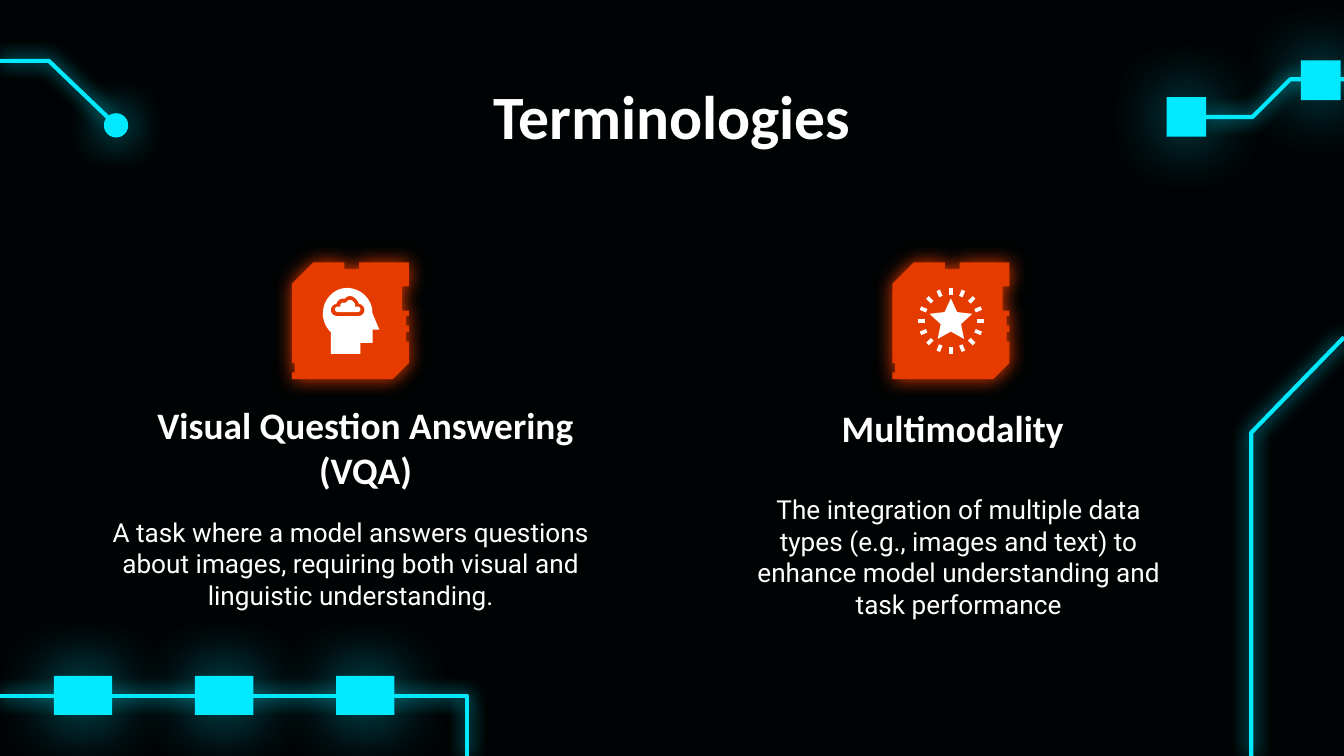
"""Build the glowing circuit-board "Terminologies" slide on a grid of 1000 by 562.5 cells."""
import math
from dataclasses import dataclass

from lxml import etree
from pptx import Presentation, util as u
from pptx.dml import color
from pptx.enum import shapes, text
from pptx.oxml import ns


@dataclass(frozen=True)
class Theme:
    background: str = "000304"
    neon: str = "00E9FF"
    badge: str = "E63B00"
    ink: str = "FFFFFF"
    heading_font: str = "Calibri"
    body_font: str = "Roboto"
    title_size: int = 33
    heading_size: int = 20
    body_size: int = 14
    trace_width: float = 2.25


THEME = Theme()
CELL = u.Inches(0.01)
COLUMNS, ROWS = 1000, 562.5

TITLE = ("Terminologies", (78, 59.3, 844, 52))
TERMS = [
    {"heading": ("Visual Question Answering (VQA)", (78, 299.3, 388, 42)),
     "body": ("A task where a model answers questions about images, requiring "
              "both visual and linguistic understanding.", (67, 384.3, 388, 86)),
     "badge": (217.2, 195.2)},
    {"heading": ("Multimodality", (582.4, 301.4, 253, 42)),
     "body": ("The integration of multiple data types (e.g., images and text) to "
              "enhance model understanding and task performance", (548.4, 367.4, 330, 86)),
     "badge": (664, 195.2)},
]

TRACES = [
    [(COLUMNS, 251), (931, 322), (931, ROWS)],
    [(897, 87), (932, 87), (960, 59), (COLUMNS, 59)],
    [(0, 518), (347.5, 518), (347.5, ROWS)],
    [(0, 45.3), (36.4, 45.3), (81.4, 88.4)],
]
CORNER_CHIPS = [(868, 72.3, 29.5, 29.5), (968, 45, 29.5, 29.5)]
BOTTOM_CHIPS = [(40 + 105 * place, 503, 43.5, 29) for place in range(3)]
NODE = (78.4, 85.3, 16, 16)

BADGE = [(16, 0), (0, 16), (0, 75), (2, 75), (2, 82), (0, 82), (0, 87), (75, 87),
         (87, 75), (87, 59), (85, 59), (85, 52), (87, 52), (87, 47), (85, 47),
         (85, 40), (87, 40), (87, 36), (82, 36), (82, 18), (87, 18), (87, 0),
         (50, 0), (50, 5), (39, 5), (39, 0)]
HEAD = [(41, 19), (31, 19, 23, 28, 23, 38), (23, 43, 25, 48, 29, 52), (29, 68),
        (51, 68), (51, 60), (60, 60), (60, 50), (65, 50), (60, 38),
        (60, 27, 51, 19, 41, 19)]
CLOUD_EDGE = [(43, 25), (46, 25, 49, 28, 50, 31), (52, 31, 54, 33, 54, 35.5),
              (54, 38, 52, 40, 49, 40), (34, 40), (31, 40, 29, 38, 29, 35.5),
              (29, 33, 31, 31, 33, 31), (34, 28, 36, 27, 38, 27), (39.5, 27),
              (40, 26, 42, 25, 43, 25)]
CLOUD = [(43, 28), (42, 28, 41, 29, 41, 29), (40, 30), (38, 30),
         (37, 30, 36, 31, 36, 32), (36, 33), (34, 33), (33, 33, 32, 34, 32, 35),
         (32, 36, 33, 37, 34, 37), (49, 37), (50, 37, 51, 36, 51, 35),
         (51, 34, 50, 33, 49, 33), (47, 33), (47, 32), (47, 30, 45, 28, 43, 28)]
ICON_CENTRE = (43.5, 43.5)


def cells(*values):
    return [round(value * CELL) for value in values]


def rgb(value):
    return color.RGBColor.from_string(value)


def flatten(outline, steps=8):
    """Replace each six-number Bezier segment with short straight ones."""
    points = [outline[0]]
    for segment in outline[1:]:
        if len(segment) == 2:
            points.append(segment)
            continue
        start, *rest = points[-1], segment[:2], segment[2:4], segment[4:]
        for step in range(1, steps + 1):
            t = step / steps
            weights = ((1 - t) ** 3, 3 * t * (1 - t) ** 2, 3 * t * t * (1 - t), t ** 3)
            points.append(tuple(sum(w * p[axis] for w, p in zip(weights, (start, *rest)))
                                for axis in (0, 1)))
    return points


def polar(radius, angle, shift=0):
    """Return a point around the icon centre, the angle measured from twelve o'clock."""
    x, y = ICON_CENTRE
    return (x + radius * math.sin(angle) + shift * math.cos(angle),
            y - radius * math.cos(angle) + shift * math.sin(angle))


def glow(shape, tint, blur, opacity=100):
    effects = shape._element.spPr.find(ns.qn("a:effectLst"))
    shadow = etree.SubElement(effects, ns.qn("a:outerShdw"), blurRad=str(u.Pt(blur)),
                              dist="0", dir="0", algn="bl", rotWithShape="0")
    tone = etree.SubElement(shadow, ns.qn("a:srgbClr"), val=tint)
    etree.SubElement(tone, ns.qn("a:alpha"), val=str(opacity * 1000))


def paint(shape, fill=None, line=None, width=THEME.trace_width):
    shape.shadow.inherit = False
    if fill:
        shape.fill.solid()
        shape.fill.fore_color.rgb = rgb(fill)
    else:
        shape.fill.background()
    if line:
        shape.line.color.rgb = rgb(line)
        shape.line.width = u.Pt(width)
    else:
        shape.line.fill.background()
    return shape


def draw(page, contours, corner=(0, 0), close=True, **look):
    builder = None
    for contour in contours:
        points = [tuple(cells(x + corner[0], y + corner[1])) for x, y in flatten(contour)]
        if builder is None:
            builder = page.shapes.build_freeform(*points[0], scale=1.0)
        else:
            builder.move_to(*points[0])
        builder.add_line_segments(points[1:], close=close)
    return paint(builder.convert_to_shape(), **look)


def draw_circuit(page):
    for trace in TRACES:
        glow(draw(page, [trace], close=False, line=THEME.neon), THEME.neon, 10.1)
    for place in CORNER_CHIPS + BOTTOM_CHIPS:
        chip = page.shapes.add_shape(shapes.MSO_SHAPE.RECTANGLE, *cells(*place))
        glow(paint(chip, fill=THEME.neon), THEME.neon, 36, 70)
    node = page.shapes.add_shape(shapes.MSO_SHAPE.OVAL, *cells(*NODE))
    glow(paint(node, fill=THEME.neon, line=THEME.neon, width=1.5), THEME.neon, 22.5)


def draw_head(page, corner):
    draw(page, [HEAD, CLOUD_EDGE], corner, fill=THEME.ink)
    draw(page, [CLOUD], corner, fill=THEME.ink)


def draw_star(page, corner):
    star = [polar((16.7, 8)[point % 2], point * math.pi / 5) for point in range(10)]
    draw(page, [star], corner, fill=THEME.ink)
    for ray in range(16):
        angle = ray * math.pi / 8
        sides = [(19.5, -1.4), (24.5, -1.4), (24.5, 1.4), (19.5, 1.4)]
        draw(page, [[polar(radius, angle, shift) for radius, shift in sides]], corner,
             fill=THEME.ink)


def write(box, content, font, size, bold=False, title=False):
    wording, place = content
    box.left, box.top, box.width, box.height = cells(*place)
    frame = box.text_frame
    frame.text = wording
    frame.word_wrap = True
    frame.auto_size = text.MSO_AUTO_SIZE.NONE
    frame.vertical_anchor = text.MSO_ANCHOR.MIDDLE if title else text.MSO_ANCHOR.TOP
    frame.margin_left = frame.margin_right = frame.margin_bottom = u.Inches(0.1)
    frame.margin_top = u.Inches(0.1 if title else 0)
    para = frame.paragraphs[0]
    para.alignment = text.PP_ALIGN.CENTER
    para.space_before = u.Pt(0)
    settings = para._p.get_or_add_pPr()
    settings.set("marL", "0")
    settings.set("indent", "0")
    etree.SubElement(settings, ns.qn("a:buNone"))
    span = para.runs[0].font
    span.name, span.size, span.bold = font, u.Pt(size), bold
    span.color.rgb = rgb(THEME.ink)


def main():
    deck = Presentation()
    deck.slide_width, deck.slide_height = cells(COLUMNS, ROWS)
    page = deck.slides.add_slide(deck.slide_layouts.get_by_name("Comparison"))
    page.background.fill.solid()
    page.background.fill.fore_color.rgb = rgb(THEME.background)
    title, *boxes = page.placeholders

    draw_circuit(page)
    write(title, TITLE, THEME.heading_font, THEME.title_size, bold=True, title=True)
    for term, heading, body, icon in zip(TERMS, boxes[::2], boxes[1::2],
                                         (draw_head, draw_star)):
        glow(draw(page, [BADGE], term["badge"], fill=THEME.badge), THEME.badge, 10.1)
        icon(page, term["badge"])
        write(heading, term["heading"], THEME.heading_font, THEME.heading_size, bold=True)
        write(body, term["body"], THEME.body_font, THEME.body_size)
    deck.save("out.pptx")


if __name__ == "__main__":
    main()
